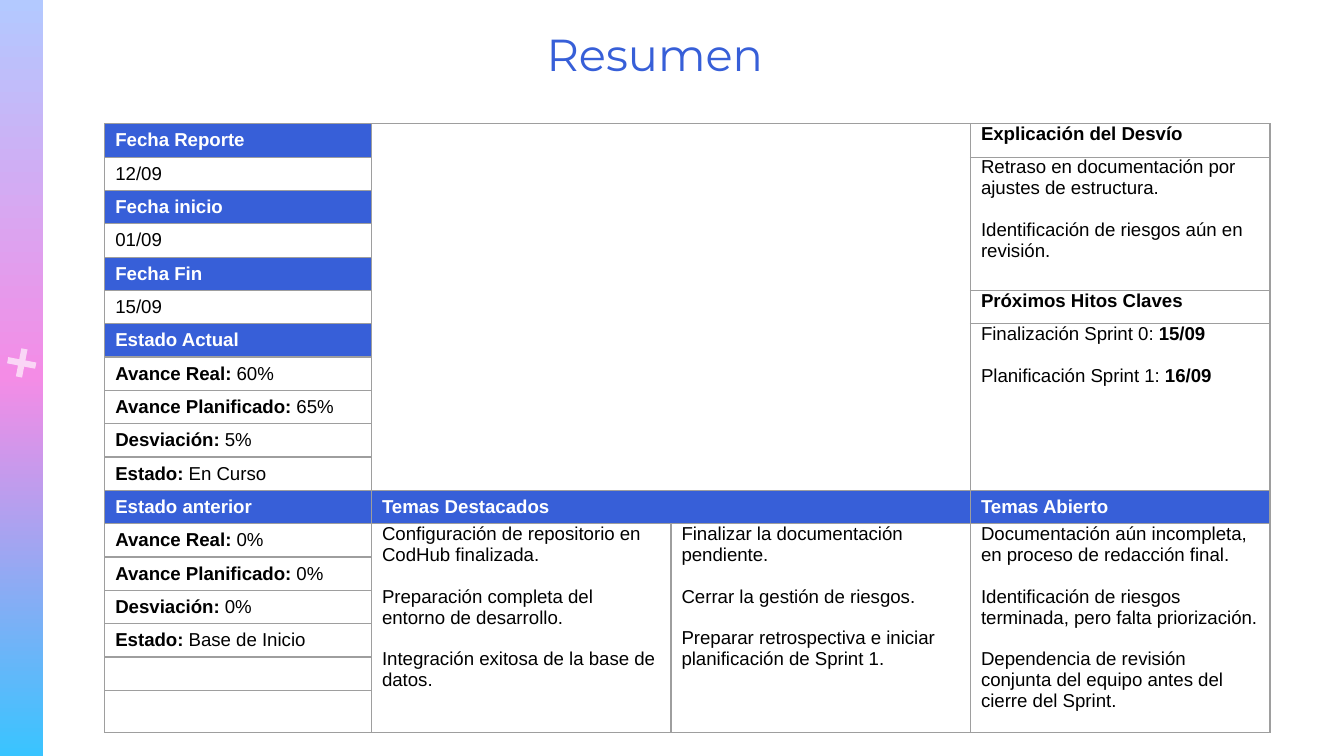
"""Build the project status summary slide."""
from dataclasses import dataclass
from math import cos, radians, sin

from lxml.etree import SubElement
from pptx import Presentation
from pptx.dml.color import RGBColor
from pptx.enum.shapes import MSO_SHAPE
from pptx.enum.text import MSO_ANCHOR
from pptx.oxml.ns import qn
from pptx.util import Cm, Pt


@dataclass(frozen=True)
class Theme:
    accent: str = "375FD8"
    text: str = "000000"
    light: str = "FFFFFF"
    border: str = "9E9E9E"
    band: tuple = ((0, "B3C9FF"), (50, "F48CE6"), (100, "39C4FF"))
    title_font: str = "Montserrat"
    body_font: str = "Arial"
    title_size: int = 24
    body_size: int = 10
    paragraph_gap: float = 11.2
    border_width: float = 0.75


THEME = Theme()
ROW_COUNT = 18
COLUMN_WIDTHS = (5.04, 5.66, 5.66, 5.66)
ROW_HEIGHT = 0.63
LAST_ROW_HEIGHT = 0.79

STATUS_HEADINGS = {
    0: "Fecha Reporte",
    2: "Fecha inicio",
    4: "Fecha Fin",
    6: "Estado Actual",
    11: "Estado anterior",
}
STATUS_VALUES = {
    1: "12/09",
    3: "01/09",
    5: "15/09",
    7: "*Avance Real:* 60%",
    8: "*Avance Planificado:* 65%",
    9: "*Desviación:* 5%",
    10: "*Estado:* En Curso",
    12: "*Avance Real:* 0%",
    13: "*Avance Planificado:* 0%",
    14: "*Desviación:* 0%",
    15: "*Estado:* Base de Inicio",
}
TOPIC_HEADINGS = {(11, 1): "Temas Destacados", (11, 3): "Temas Abierto"}
NOTES = {
    (0, 3): ["*Explicación del Desvío*"],
    (1, 3): [
        "Retraso en documentación por ajustes de estructura.",
        "Identificación de riesgos aún en revisión.",
    ],
    (5, 3): ["*Próximos Hitos Claves*"],
    (6, 3): ["Finalización Sprint 0: *15/09*", "Planificación Sprint 1: *16/09*"],
    (12, 1): [
        "Configuración de repositorio en CodHub finalizada.",
        "Preparación completa del entorno de desarrollo.",
        "Integración exitosa de la base de datos.",
    ],
    (12, 2): [
        "Finalizar la documentación pendiente.",
        "Cerrar la gestión de riesgos.",
        "Preparar retrospectiva e iniciar planificación de Sprint 1.",
    ],
    (12, 3): [
        "Documentación aún incompleta, en proceso de redacción final.",
        "Identificación de riesgos terminada, pero falta priorización.",
        "Dependencia de revisión conjunta del equipo antes del cierre del Sprint.",
    ],
}
MERGES = (
    ((0, 1), (10, 2)),
    ((1, 3), (4, 3)),
    ((6, 3), (10, 3)),
    ((11, 1), (11, 2)),
    ((12, 1), (17, 1)),
    ((12, 2), (17, 2)),
    ((12, 3), (17, 3)),
)


def style_font(font, name, size, color):
    font.name = name
    font.size = Pt(size)
    font.color.rgb = RGBColor.from_string(color)


def add_side_band(slide):
    band = slide.shapes.add_shape(MSO_SHAPE.RECTANGLE, Cm(0), Cm(0), Cm(0.81), Cm(14.29))
    band.shadow.inherit = False
    band.line.fill.background()
    band.fill.gradient()
    band.fill.gradient_angle = 270
    stops = next(band._element.iter(qn("a:gsLst")))
    stops.clear()
    for position, color in THEME.band:
        stop = SubElement(stops, qn("a:gs"), pos=str(position * 1000))
        SubElement(stop, qn("a:srgbClr"), val=color)


def add_plus(slide, center_x, center_y, reach, half_width, tilt):
    corners = ((reach, -half_width), (reach, half_width), (half_width, half_width))
    points = []
    for quarter in range(4):
        angle = radians(tilt + 90 * quarter)
        for x, y in corners:
            points.append((
                Cm(center_x + x * cos(angle) - y * sin(angle)),
                Cm(center_y + x * sin(angle) + y * cos(angle)),
            ))
    builder = slide.shapes.build_freeform(*points[0])
    builder.add_line_segments(points[1:], close=True)
    plus = builder.convert_to_shape()
    plus.shadow.inherit = False
    plus.line.fill.background()
    plus.fill.solid()
    plus.fill.fore_color.rgb = RGBColor.from_string(THEME.light)
    color = next(plus._element.spPr.iter(qn("a:srgbClr")))
    SubElement(color, qn("a:alpha"), val="64000")


def add_title(slide, text):
    box = slide.shapes.add_textbox(Cm(10.08), Cm(0.2), Cm(5.23), Cm(1.63))
    frame = box.text_frame
    frame.word_wrap = True
    frame.vertical_anchor = MSO_ANCHOR.MIDDLE
    paragraph = frame.paragraphs[0]
    paragraph.text = text
    style_font(paragraph.font, THEME.title_font, THEME.title_size, THEME.accent)


def format_cell(cell):
    cell.margin_left = cell.margin_right = Cm(0.2)
    cell.margin_top = cell.margin_bottom = Cm(0)
    properties = cell._tc.get_or_add_tcPr()
    for side in ("lnL", "lnR", "lnT", "lnB"):
        line = SubElement(properties, qn(f"a:{side}"), w=str(Pt(THEME.border_width)))
        fill = SubElement(line, qn("a:solidFill"))
        SubElement(fill, qn("a:srgbClr"), val=THEME.border)
    cell.fill.background()
    ending = SubElement(cell.text_frame.paragraphs[0]._p, qn("a:endParaRPr"))
    ending.set("sz", str(THEME.body_size * 100))


def write_cell(cell, texts, color=THEME.text, anchor=MSO_ANCHOR.TOP):
    """Write one paragraph per text, with bold parts between asterisks."""
    cell.vertical_anchor = anchor
    frame = cell.text_frame
    for index, text in enumerate(texts):
        paragraph = frame.add_paragraph() if index else frame.paragraphs[0]
        style_font(paragraph.font, THEME.body_font, THEME.body_size, color)
        if index < len(texts) - 1:
            paragraph.space_after = Pt(THEME.paragraph_gap)
        for part_index, part in enumerate(text.split("*")):
            if part:
                run = paragraph.add_run()
                run.text = part
                run.font.bold = part_index % 2 == 1


def write_heading(cell, text):
    write_cell(cell, [f"*{text}*"], THEME.light, MSO_ANCHOR.MIDDLE)
    cell.fill.solid()
    cell.fill.fore_color.rgb = RGBColor.from_string(THEME.accent)


def add_status_table(slide):
    height = ROW_HEIGHT * (ROW_COUNT - 1) + LAST_ROW_HEIGHT
    table = slide.shapes.add_table(
        ROW_COUNT, len(COLUMN_WIDTHS), Cm(1.98), Cm(2.34), Cm(sum(COLUMN_WIDTHS)), Cm(height)
    ).table
    table.first_row = table.horz_banding = False
    for column, width in zip(table.columns, COLUMN_WIDTHS):
        column.width = Cm(width)
    for row in table.rows:
        row.height = Cm(ROW_HEIGHT)
    table.rows[ROW_COUNT - 1].height = Cm(LAST_ROW_HEIGHT)
    for cell in table.iter_cells():
        format_cell(cell)
    for first, last in MERGES:
        table.cell(*first).merge(table.cell(*last))
    for row, text in STATUS_HEADINGS.items():
        write_heading(table.cell(row, 0), text)
    for row, text in STATUS_VALUES.items():
        write_cell(table.cell(row, 0), [text], anchor=MSO_ANCHOR.MIDDLE)
    for position, text in TOPIC_HEADINGS.items():
        write_heading(table.cell(*position), text)
    for position, texts in NOTES.items():
        write_cell(table.cell(*position), texts)


def main():
    presentation = Presentation()
    presentation.slide_width = Cm(25.4)
    presentation.slide_height = Cm(14.29)
    slide = presentation.slides.add_slide(presentation.slide_layouts[6])
    add_side_band(slide)
    add_plus(slide, 0.41, 6.86, 0.27, 0.06, 11)
    add_title(slide, "Resumen")
    add_status_table(slide)
    presentation.save("out.pptx")


if __name__ == "__main__":
    main()
